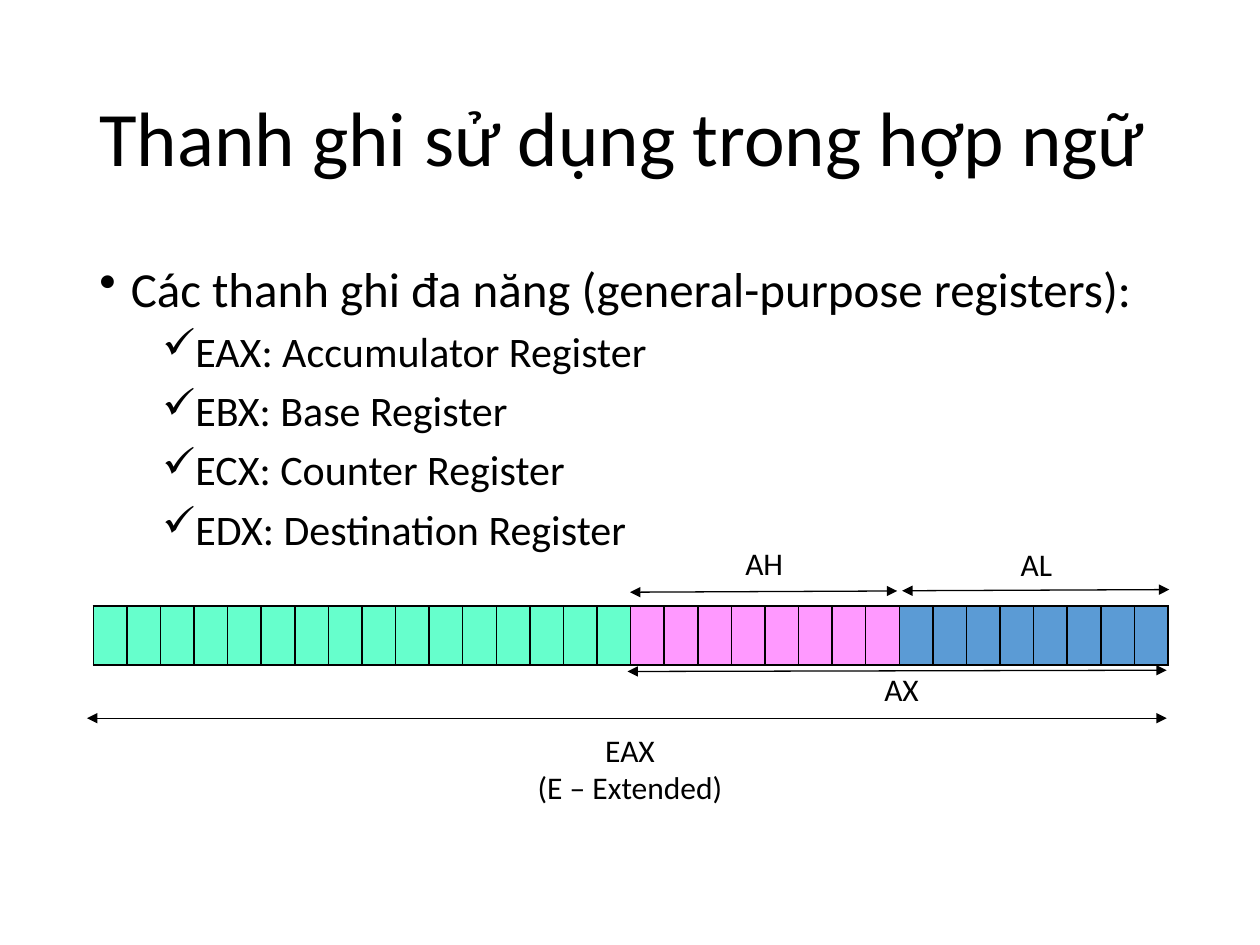
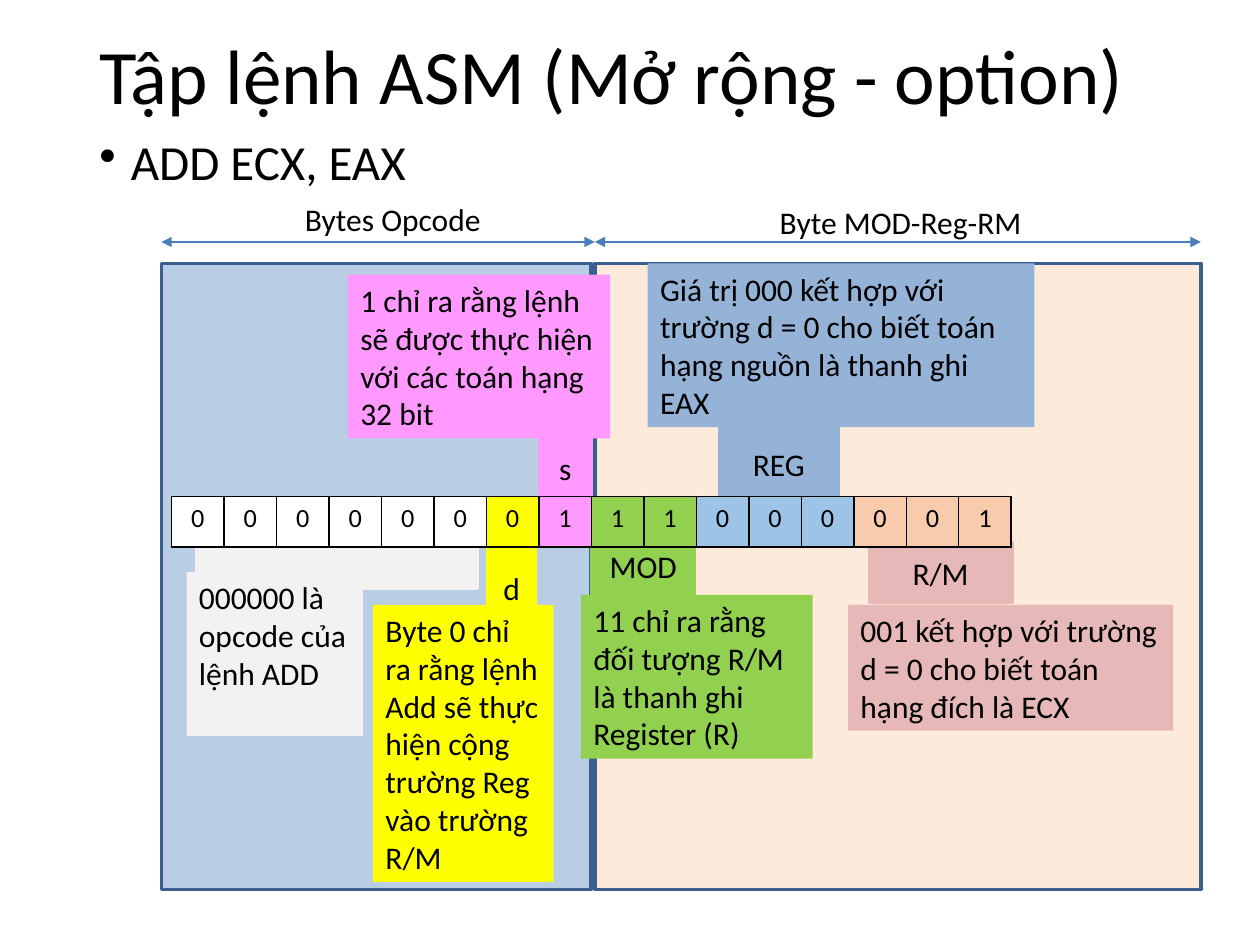
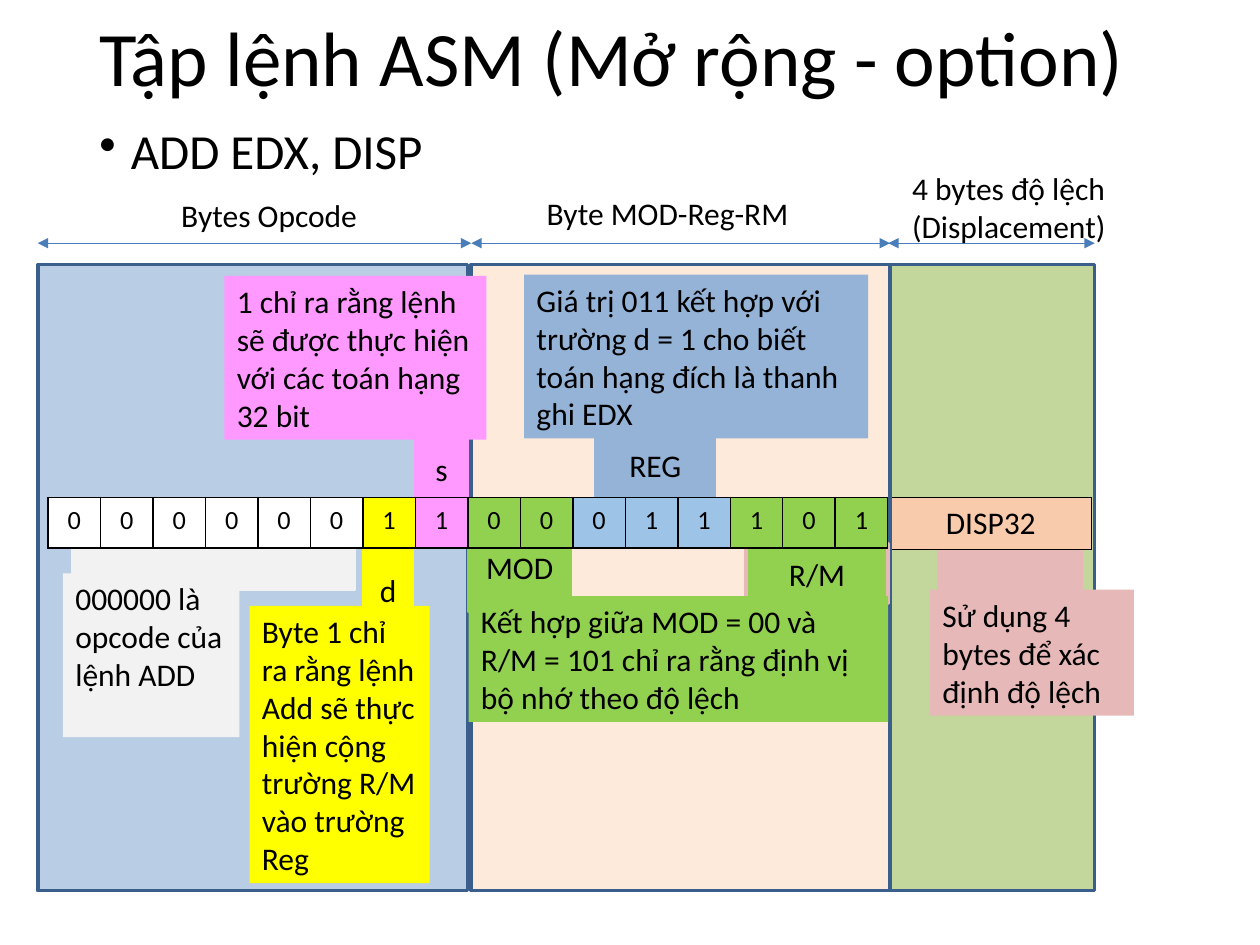
from lxml.etree import SubElement
from pptx import Presentation
from pptx.dml.color import RGBColor
from pptx.enum.shapes import MSO_CONNECTOR, MSO_SHAPE
from pptx.enum.text import MSO_ANCHOR, PP_ALIGN
from pptx.oxml.ns import qn
from pptx.util import Pt

FONT = "Calibri"
BLACK, WHITE, NAVY, BLUE = "000000", "FFFFFF", "3A5F8C", "4A7EBB"
PINK, GREEN, YELLOW, GREY = "FF99FF", "92D050", "FFFF00", "F2F2F2"
STEEL, ROSE, PEACH, SKY = "95B3D7", "E6B9B8", "F8CBAD", "9DC3E6"
LEFT, MID = PP_ALIGN.LEFT, PP_ALIGN.CENTER
HIGH = 357.8  # height of the byte panels
SPLIT = 247.7  # where the MOD-Reg-RM byte starts
DISP = 487  # where the displacement starts


def color(code):
    return RGBColor.from_string(code)


def write(para, text, size=18, align=LEFT):
    para.alignment = align
    run = para.add_run()
    run.text = text
    run.font.name, run.font.size = FONT, Pt(size)
    run.font.color.rgb = color(BLACK)


def place(x, y, w, h):
    return Pt(x), Pt(y), Pt(w), Pt(h)


def label(slide, box, lines, size=18, align=LEFT, anchor=MSO_ANCHOR.TOP):
    frame = slide.shapes.add_textbox(*place(*box)).text_frame
    frame.word_wrap, frame.vertical_anchor = True, anchor
    for i, line in enumerate(lines):
        para = frame.add_paragraph() if i else frame.paragraphs[0]
        write(para, line, size, align)
    return frame


def block(slide, box, fill, line=None, text="", align=MID):
    shape = slide.shapes.add_shape(MSO_SHAPE.RECTANGLE, *place(*box))
    shape.shadow.inherit = False
    shape.fill.solid()
    shape.fill.fore_color.rgb = color(fill)
    if line:
        shape.line.color.rgb, shape.line.width = color(line), Pt(2)
    else:
        shape.line.fill.background()
    if text:
        frame = shape.text_frame
        frame.word_wrap = True
        frame.vertical_anchor = MSO_ANCHOR.MIDDLE if line else MSO_ANCHOR.TOP
        write(frame.paragraphs[0], text, align=align)


def note(slide, box, fill, text):
    block(slide, box, fill, text=text, align=LEFT)


def arrow(slide, x1, y1, x2, y2, ink):
    line = slide.shapes.add_connector(MSO_CONNECTOR.STRAIGHT, *place(x1, y1, x2, y2))
    line.line.color.rgb, line.line.width = color(ink), Pt(0.75)
    props = line.line._get_or_add_ln()
    for end in ("a:headEnd", "a:tailEnd"):
        SubElement(props, qn(end), type="triangle")
    SubElement(line._element.spPr, qn("a:effectLst"))


def strip(slide, box, cells, size=15):
    """One row of bordered cells, each given as (text, fill)."""
    table = slide.shapes.add_table(1, len(cells), *place(*box)).table
    table.first_row = table.horz_banding = False
    for i, (text, fill) in enumerate(cells):
        table.columns[i].width = Pt(box[2] / len(cells))
        cell = table.cell(0, i)
        props = cell._tc.get_or_add_tcPr()
        for side in "LRTB":
            edge = SubElement(props, qn("a:ln" + side), w=str(Pt(0.96)))
            paint = SubElement(edge, qn("a:solidFill"))
            SubElement(paint, qn("a:srgbClr"), val=BLACK)
        cell.fill.solid()
        cell.fill.fore_color.rgb = color(fill)
        if text:
            write(cell.text_frame.paragraphs[0], text, size, MID)


def heading(slide, top, text):
    frame = label(slide, (49.7, top, 620.6, 104.4), [text], 44, anchor=MSO_ANCHOR.MIDDLE)
    frame.paragraphs[0].line_spacing = 0.9


def bullets(slide, top, head, items=(), pitch=0.9):
    frame = label(slide, (49.7, top, 620.6, 342.7), [head], 28)
    for item in items:
        para = frame.add_paragraph()
        write(para, item, 24)
        para.level, para.space_before = 1, Pt(5)
    for i, para in enumerate(frame.paragraphs):
        props = para._p.get_or_add_pPr()
        props.set("marL", str(Pt(54 if i else 18)))
        props.set("indent", str(Pt(-18)))
        SubElement(props, qn("a:buChar"), char="✓" if i else "•")
        para.line_spacing = pitch


def register(slide, x, y):
    """32 bits of EAX with the spans of its parts."""
    fills = ["66FFCC"] * 16 + [PINK] * 8 + ["5B9BD5"] * 8
    strip(slide, (x, y, 614.2, 33.8), [("", fill) for fill in fills])
    # Spans: left, right, height, tilt
    for start, end, up, tilt in [(306.7, 459.4, -8.6, 0.7), (462.2, 614.9, -9.4, 0.7),
                                 (305.3, 613.4, 36.7, 0.7), (-3.6, 613.4, 64.1, 0)]:
        arrow(slide, x + end, y + up, x + start, y + up + tilt, BLACK)
    # Names of the spans
    for dx, dy, w, lines in [(364.3, -38.9, 38.2, ["AH"]), (519.8, -38.2, 38.2, ["AL"]),
                             (442.8, 33.1, 38.2, ["AX"]),
                             (244.1, 67.7, 125.3, ["EAX", "(E – Extended)"])]:
        label(slide, (x + dx, y + dy, w, 28.8 * len(lines)), lines, align=MID)


def offset(slide, x, y):
    """The four displacement bytes."""
    block(slide, (x + DISP, y, 117, HIGH), "C3D69B", NAVY)
    block(slide, (x + 514.8, y + 162, 81.4, 33.8), ROSE, ROSE)
    strip(slide, (x + DISP, y + 133.2, 115.2, 29.5), [("DISP32", PEACH)], 18)
    note(slide, (x + 509.8, y + 185.8, 116.6, 72), ROSE, "Sử dụng 4 bytes để xác định độ lệch")
    arrow(slide, x + DISP - 1, y - 12.2, x + 604, y - 12.2, BLUE)
    label(slide, (x + 492.5, y - 58.3, 139.7, 50.4), ["4 bytes độ lệch", "(Displacement)"])


def command(slide, x, y, bits, width, last, direct, names, notes):
    """Opcode and MOD-Reg-RM bytes; last is the fill of the R/M bits and tab."""
    # Panels
    block(slide, (x, y, 245.5, HIGH), "B9CDE5", NAVY)
    block(slide, (x + 20.2, y + 150.5, 160.6, 35.3), GREY, GREY)
    block(slide, (x + SPLIT, y, width, HIGH), "FDEADA", NAVY)
    # Tabs that tie the notes to their bits
    for dx, dy, w, h, fill, line, text in [
        (319, 80.6, 67.7, 67.7, STEEL, STEEL, "REG"),
        (404.6, 159.8, 81.4, 33.8, last[1], ROSE, "R/M"),
        (246.2, 147.6, 58.3, 50.4, GREEN, GREEN, "MOD"),
        (186.5, 147.6, 27.4, 76.3, YELLOW, YELLOW, "d"),
        (216, 82.8, 29.5, 67.7, PINK, PINK, "s"),
    ]:
        block(slide, (x + dx, y + dy, w, h), fill, line, text)
    # Bits
    fills = [WHITE] * 6 + [YELLOW, PINK] + [GREEN] * 2 + [SKY] * 3 + [last[0]] * 3
    strip(slide, (x + 5.8, y + 133.2, 480, 28.8), list(zip(bits, fills)))
    # Notes
    shared = [
        ((14.4, 176.4, 100.8, 93.6), GREY, "000000 là opcode của lệnh ADD"),
        ((106.6, 6.5, 149.8, 93.6), PINK,
         "1 chỉ ra rằng lệnh sẽ được thực hiện với các toán hạng 32 bit"),
        ((121, 195.1, 103, 158.4), YELLOW, direct),
    ]
    for (dx, dy, w, h), fill, text in shared + notes:
        note(slide, (x + dx, y + dy, w, h), fill, text)
    # Spans of the bytes
    for start, end in [(0, SPLIT), (SPLIT, SPLIT + width)]:
        arrow(slide, x + start, y - 12.2, x + end, y - 12.2, BLUE)
    for dx, dy, w, text in names:
        label(slide, (x + dx, y + dy, w, 28.8), [text])


def main():
    deck = Presentation()
    deck.slide_width, deck.slide_height = Pt(720), Pt(540)
    first, second, third = [deck.slides.add_slide(deck.slide_layouts[6]) for _ in range(3)]

    # Registers
    heading(first, 28.8, "Thanh ghi sử dụng trong hợp ngữ")
    bullets(first, 144, "Các thanh ghi đa năng (general-purpose registers):",
            ["EAX: Accumulator Register", "EBX: Base Register",
             "ECX: Counter Register", "EDX: Destination Register"], 1.0)
    register(first, 53.3, 346.3)

    # Two commands
    for slide, top, low, text in [(second, -6.5, 75.6, "ADD ECX, EAX"),
                                  (third, -17.3, 69.1, "ADD EDX, DISP")]:
        heading(slide, top, "Tập lệnh ASM (Mở rộng - option)")
        bullets(slide, low, text)

    command(
        second, 92.2, 150.5, "0000000111000001", 346.3, (PEACH, ROSE),
        "Byte 0 chỉ ra rằng lệnh Add sẽ thực hiện cộng trường Reg vào trường R/M",
        [(74.9, -39.6, 139.7, "Bytes Opcode"), (346.3, -38.2, 153.4, "Byte MOD-Reg-RM")],
        [((277.9, 0, 221, 93.6), STEEL,
          "Giá trị 000 kết hợp với trường d = 0 cho biết toán hạng nguồn là thanh ghi EAX"),
         ((239.8, 189.4, 132.5, 93.6), GREEN,
          "11 chỉ ra rằng đối tượng R/M là thanh ghi Register (R)"),
         ((392.4, 195.1, 185.8, 72), ROSE,
          "001 kết hợp với trường d = 0 cho biết toán hạng đích là ECX")])

    offset(third, 21.6, 151.2)
    command(
        third, 21.6, 151.2, "0000001100011101", DISP - SPLIT, (GREEN, GREEN),
        "Byte 1 chỉ ra rằng lệnh Add sẽ thực hiện cộng trường R/M vào trường Reg",
        [(74.9, -42.5, 139.7, "Bytes Opcode"), (283.7, -43.9, 169.2, "Byte MOD-Reg-RM")],
        [((277.9, 5.8, 196.6, 93.6), STEEL,
          "Giá trị 011 kết hợp với trường d = 1 cho biết toán hạng đích là thanh ghi EDX"),
         ((246.2, 189.4, 239.8, 72), GREEN,
          "Kết hợp giữa MOD = 00 và R/M = 101 chỉ ra rằng định vị bộ nhớ theo độ lệch")])

    deck.save("out.pptx")


if __name__ == "__main__":
    main()
